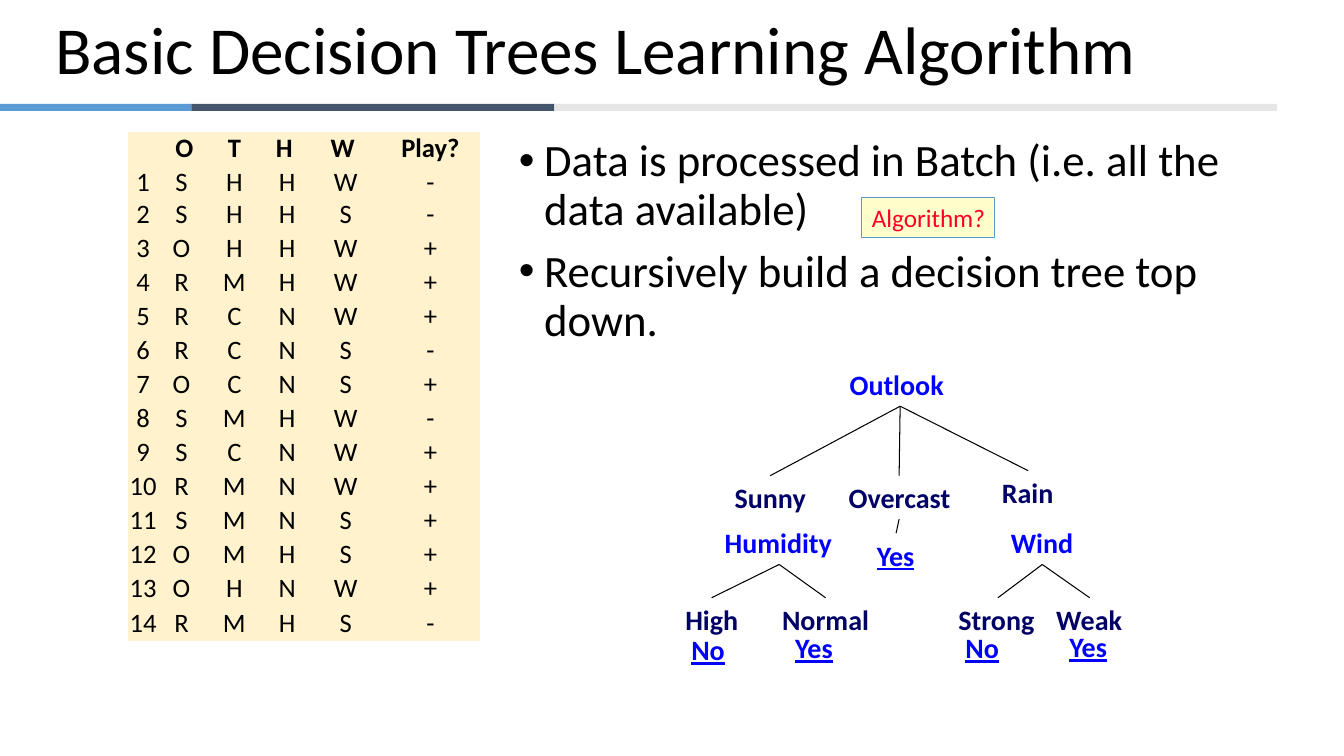
import pptx
import pptx.dml.color
import pptx.enum.shapes
import pptx.enum.text
import pptx.oxml
import pptx.oxml.ns
import pptx.util

COLORS = {
    "black": "000000", "red": "FC0128", "blue": "0000FF", "navy": "000066",
    "sky": "5B9BD5", "slate": "44546A", "silver": "E7E6E6",
    "cream": "FFF2CC", "yellow": "FFFFCC",
}
ANCHOR = pptx.enum.text.MSO_ANCHOR
CENTER = pptx.enum.text.PP_ALIGN.CENTER
RECTANGLE = pptx.enum.shapes.MSO_SHAPE.RECTANGLE
STRAIGHT = pptx.enum.shapes.MSO_CONNECTOR.STRAIGHT
PLAIN_TABLE = "{2D5ABB26-0587-4C30-8999-92F81FD0307C}"


class Page:
    font = "Calibri"
    columns, rows = 133.33, 75

    def __init__(self, deck):
        self.slide = deck.slides.add_slide(deck.slide_layouts[6])
        self.shapes = self.slide.shapes
        self.column = deck.slide_width / self.columns
        self.row = deck.slide_height / self.rows

    def place(self, *lengths):
        units = (self.column, self.row, self.column, self.row)
        return [round(length * unit) for length, unit in zip(lengths, units)]

    def color(self, name):
        return pptx.dml.color.RGBColor.from_string(COLORS[name])

    def paint(self, target, name):
        target.fill.solid()
        target.fill.fore_color.rgb = self.color(name)

    def style(self, frame, size, color="black", bold=False, underline=False):
        for para in frame.paragraphs:
            para.font.size = pptx.util.Pt(size)
            for span in para.runs:
                span.font.name = self.font
                span.font.size = pptx.util.Pt(size)
                span.font.bold = bold
                span.font.underline = underline
                span.font.color.rgb = self.color(color)

    def bar(self, left, top, width, height, fill, outline=None):
        shape = self.shapes.add_shape(RECTANGLE, *self.place(left, top, width, height))
        shape.shadow.inherit = False
        self.paint(shape, fill)
        if outline:
            shape.line.color.rgb = self.color(outline)
            shape.line.width = pptx.util.Pt(0.75)
        else:
            shape.line.fill.background()
        return shape

    def text(self, left, top, width, height, words, size, anchor=ANCHOR.TOP):
        box = self.shapes.add_textbox(*self.place(left, top, width, height))
        frame = box.text_frame
        frame.word_wrap = True
        frame.vertical_anchor = anchor
        frame.text = words
        self.style(frame, size)
        for para in frame.paragraphs:
            para.line_spacing = 0.9
        return frame

    def bullets(self, left, top, width, height, points, size):
        frame = self.text(left, top, width, height, "\n".join(points), size)
        indent = pptx.util.Inches(0.25)
        for para in frame.paragraphs:
            para.space_before = pptx.util.Pt(10)
            properties = para._p.get_or_add_pPr()
            properties.set("marL", str(indent))
            properties.set("indent", str(-indent))
            for tag, key, value in (("buFont", "typeface", "Arial"), ("buChar", "char", "•")):
                mark = pptx.oxml.parse_xml(f'<a:{tag} {pptx.oxml.ns.nsdecls("a")} {key}="{value}"/>')
                properties.append(mark)

    def fit(self, frame, words, size, **look):
        frame.word_wrap = False
        frame.auto_size = pptx.enum.text.MSO_AUTO_SIZE.SHAPE_TO_FIT_TEXT
        frame.vertical_anchor = ANCHOR.TOP
        frame.text = words
        frame.paragraphs[0].alignment = pptx.enum.text.PP_ALIGN.LEFT
        self.style(frame, size, **look)

    def label(self, words, left, top, width, **look):
        box = self.shapes.add_textbox(*self.place(left, top, width, 4.4))
        self.fit(box.text_frame, words, 20, bold=True, **look)

    def callout(self, left, top, width, height, words):
        shape = self.bar(left, top, width, height, "yellow", "sky")
        self.fit(shape.text_frame, words, 18, color="red")
        shape.text_frame.auto_size = pptx.enum.text.MSO_AUTO_SIZE.NONE
        shape.text_frame.margin_right = 0

    def branch(self, start, end):
        line = self.shapes.add_connector(STRAIGHT, *self.place(*start, *end))
        line.line.color.rgb = self.color("black")
        line.line.width = pptx.util.Pt(0.75)
        properties = line._element.spPr
        properties.append(pptx.oxml.parse_xml(f'<a:effectLst {pptx.oxml.ns.nsdecls("a")}/>'))

    def table(self, left, top, widths, heights, records):
        area = self.place(left, top, sum(widths), sum(heights))
        holder = self.shapes.add_table(len(heights), len(widths), *area)
        table = holder.table
        table.first_row = table.horz_banding = False
        style_tag = pptx.oxml.ns.qn("a:tableStyleId")
        next(holder._element.iter(style_tag)).text = PLAIN_TABLE
        for column, width in zip(table.columns, widths):
            column.width = round(width * self.column)
        for row, height in zip(table.rows, heights):
            row.height = round(height * self.row)
        for index, record in enumerate(records):
            for cell, words in zip(table.rows[index].cells, record):
                cell.margin_left = cell.margin_right = 0
                cell.margin_top = cell.margin_bottom = 0
                self.paint(cell, "cream")
                cell.text_frame.text = words
                cell.text_frame.paragraphs[0].alignment = CENTER
                self.style(cell.text_frame, 19, bold=index == 0)


STRIPE = [(-0.1, 19.1, "sky"), (19, 36, "slate"), (55, 71.7, "silver")]
POINTS = [
    "Data is processed in Batch (i.e. all the data available)",
    "Recursively build a decision tree top down.",
]
HEADER = ["", " O", "T", "H ", "W ", "Play?"]
DAYS = (
    "SHHW- SHHS- OHHW+ RMHW+ RCNW+ RCNS- OCNS+ "
    "SMHW- SCNW+ RMNW+ SMNS+ OMHS+ OHNW+ RMHS-"
).split()
LOOKS = {
    "question": {"color": "blue"},
    "value": {"color": "navy"},
    "answer": {"color": "blue", "underline": True},
}
TREE = {
    "question": [("Outlook", 83.3, 36, 12.1), ("Humidity", 70.9, 51.6, 12.8),
                 ("Wind", 99.3, 51.6, 8.3)],
    "value": [("Sunny", 71.9, 47.2, 9.2), ("Overcast", 83.2, 47.2, 12.2),
              ("Rain", 98.4, 46.7, 7.2), ("High", 67, 59.3, 7.3),
              ("Normal", 76.6, 59.3, 10.7), ("Strong", 94.1, 59.3, 9.6),
              ("Weak", 103.8, 59.3, 8.6)],
    "answer": [("Yes", 86, 52.9, 5.8), ("No", 67.6, 62.3, 5.4),
               ("Yes", 77.9, 62.1, 5.8), ("No", 94.8, 62.1, 5.4),
               ("Yes", 105.1, 62, 5.8)],
}
BRANCHES = {
    (89.3, 40.3): [(76.4, 47.2), (89.2, 47.2), (102, 46.7)],
    (89.2, 51.5): [(88.9, 52.9)],
    (77.3, 56): [(70.6, 59.3), (81.9, 59.3)],
    (103.4, 56): [(99, 59.3), (108.1, 59.3)],
}


def main():
    deck = pptx.Presentation()
    deck.slide_width = pptx.util.Inches(13.333)
    deck.slide_height = pptx.util.Inches(7.5)
    page = Page(deck)
    for left, width, fill in STRIPE:
        page.bar(left, 10.3, width, 0.7, fill)
    page.text(4.5, 0.2, 120, 10.1, "Basic Decision Trees Learning Algorithm", 48, ANCHOR.MIDDLE)
    page.bullets(50.5, 13.2, 75.8, 53.8, POINTS, 32)
    page.callout(85.5, 19.6, 13.2, 4, "Algorithm?")
    for kind, labels in TREE.items():
        for label in labels:
            page.label(*label, **LOOKS[kind])
    for start, ends in BRANCHES.items():
        for end in ends:
            page.branch(start, end)
    records = [HEADER] + [[str(day), *values] for day, values in enumerate(DAYS, 1)]
    heights = [3.4, 3.1] + [3.38] * 13
    page.table(12.7, 13.1, [3, 4.6, 5.9, 4.6, 7, 9.8], heights, records)
    deck.save("out.pptx")


if __name__ == "__main__":
    main()
